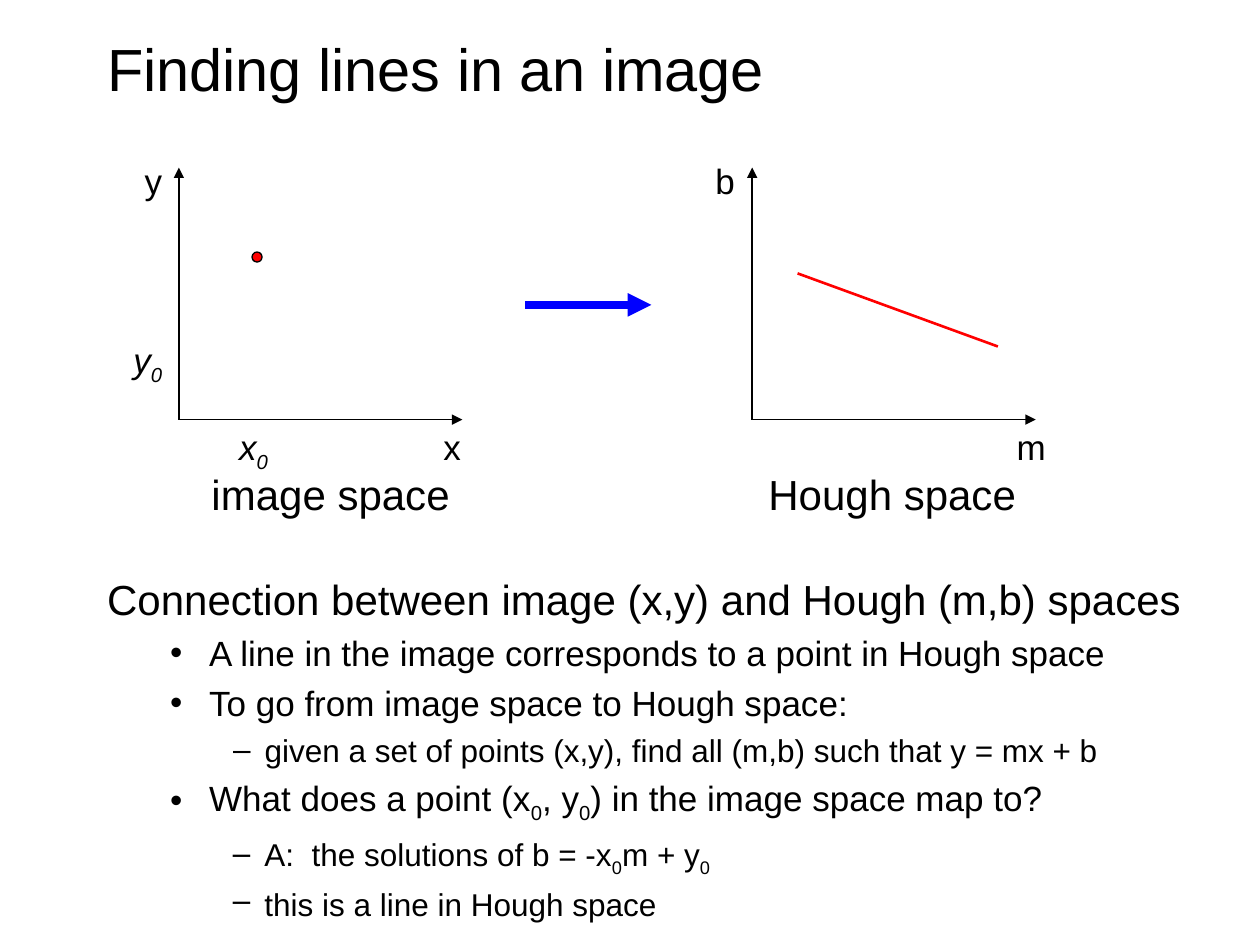
from pptx import Presentation
from pptx import util as u
from pptx.dml.color import RGBColor
from pptx.enum import shapes, text
from pptx.oxml.ns import qn
from lxml import etree

BLACK = RGBColor(0x00, 0x00, 0x00)
RED = RGBColor(0xFF, 0x00, 0x00)
BLUE = RGBColor(0x00, 0x00, 0xFF)

# Outline levels: size, text margin, hanging indent, bullet
LEVELS = [(24, 0.38, 0.38, None), (20, 0.81, 0.31, "•"), (18, 1.25, 0.25, "–")]

prs = Presentation()
prs.slide_width, prs.slide_height = u.Inches(10), u.Inches(7.5)
s = prs.slides.add_slide(prs.slide_layouts[1])


def write(tf, content, size=20, level=None, italic=False, first=True):
    """Write one paragraph; the character after each underscore is a subscript."""
    p = tf.paragraphs[0] if first else tf.add_paragraph()
    p.alignment = text.PP_ALIGN.LEFT
    p.space_before = u.Pt(0)
    if level is not None:
        size, margin, hang, bullet = LEVELS[level]
        p.level = level
        pPr = p._p.get_or_add_pPr()
        pPr.set("marL", str(u.Inches(margin)))
        pPr.set("indent", str(-u.Inches(hang)))
        if bullet:
            etree.SubElement(pPr, qn("a:buChar")).set("char", bullet)
        else:
            etree.SubElement(pPr, qn("a:buNone"))
        if not first:
            p.space_before = u.Pt(round(size * 0.23, 1))
    plain, *rest = content.split("_")
    pieces = [(plain, False)]
    for part in rest:
        pieces += [(part[0], True), (part[1:], False)]
    for piece, sub in pieces:
        if piece:
            r = p.add_run()
            r.text = piece
            r.font.name, r.font.size = "Arial", u.Pt(size)
            r.font.italic = italic
            r.font.color.rgb = BLACK
            if sub:
                r._r.get_or_add_rPr().set("baseline", "-25000")


def line(x1, y1, x2, y2, color=BLACK, width=1, arrow=True):
    c = s.shapes.add_connector(shapes.MSO_CONNECTOR.STRAIGHT,
                               *map(u.Inches, (x1, y1, x2, y2)))
    c.line.color.rgb, c.line.width = color, u.Pt(width)
    if arrow:
        etree.SubElement(c.line._get_or_add_ln(), qn("a:tailEnd")).set("type", "triangle")
    etree.SubElement(c._element.spPr, qn("a:effectLst"))


# Title, outline and answer
title, body = s.shapes.title, s.placeholders[1]
answer = s.shapes.add_textbox(0, 0, 0, 0)
for sp, top, width, height in [(title, 0.08, 8.5, 0.92), (body, 4.5, 8.92, 2.08),
                               (answer, 6.58, 8.92, 0.75)]:
    sp.left, sp.top = u.Inches(0.75), u.Inches(top)
    sp.width, sp.height = u.Inches(width), u.Inches(height)
    sp.text_frame.word_wrap = True
    sp.text_frame.auto_size = text.MSO_AUTO_SIZE.NONE
title.text_frame.vertical_anchor = text.MSO_ANCHOR.MIDDLE
write(title.text_frame, "Finding lines in an image", size=34)

OUTLINE = [
    (0, "Connection between image (x,y) and Hough (m,b) spaces"),
    (1, "A line in the image corresponds to a point in Hough space"),
    (1, "To go from image space to Hough space:"),
    (2, "given a set of points (x,y), find all (m,b) such that y = mx + b"),
    (1, "What does a point (x_0, y_0) in the image space map to?"),
]
ANSWER = [(2, "A:  the solutions of b = -x_0m + y_0"), (2, "this is a line in Hough space")]
for sp, rows in [(body, OUTLINE), (answer, ANSWER)]:
    for i, (level, content) in enumerate(rows):
        write(sp.text_frame, content, level=level, first=i == 0)

# Axes of both spaces
BASE = 3.33
for origin in (1.42, 5.97):
    line(origin, BASE, origin, BASE - 2)
    line(origin, BASE, origin + 2.25, BASE)

# Axis labels, captions and point coordinates
for content, left, top, width, size, italic in [
    ("x", 3.42, BASE, 0.34, 20, False), ("y", 1.05, 1.22, 0.34, 20, False),
    ("m", 7.97, BASE, 0.43, 20, False), ("b", 5.58, 1.22, 0.36, 20, False),
    ("image space", 1.58, 3.67, 2.09, 24, False),
    ("Hough space", 6, 3.67, 2.17, 24, False),
    ("x_0", 1.8, BASE, 0.44, 20, True), ("y_0", 0.96, 2.64, 0.44, 20, True),
]:
    sp = s.shapes.add_textbox(*map(u.Inches, (left, top, width, size / 48)))
    sp.text_frame.word_wrap = False
    sp.text_frame.auto_size = text.MSO_AUTO_SIZE.SHAPE_TO_FIT_TEXT
    write(sp.text_frame, content, size=size, italic=italic)

# Image point, mapping arrow and Hough line
point = s.shapes.add_shape(shapes.MSO_SHAPE.OVAL, *map(u.Inches, (2, 2, 0.08, 0.08)))
point.shadow.inherit = False
point.fill.solid()
point.fill.fore_color.rgb = RED
point.line.color.rgb, point.line.width = BLACK, u.Pt(0.75)
line(4.17, 2.42, 5.17, 2.42, color=BLUE, width=4.5)
line(6.33, 2.17, 7.92, 2.75, color=RED, width=1.5, arrow=False)

prs.save("out.pptx")
